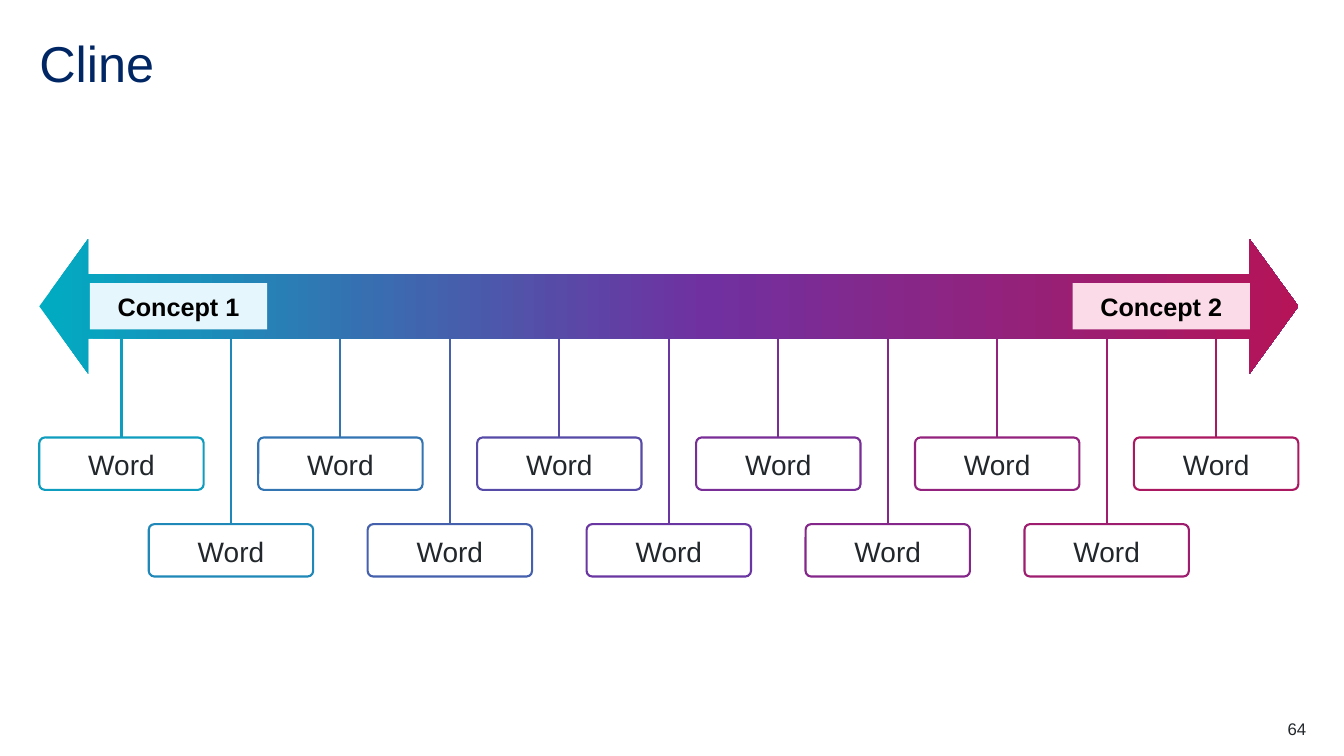
from copy import deepcopy

from pptx import Presentation
from pptx.dml.color import RGBColor
from pptx.enum.shapes import MSO_CONNECTOR as Connector
from pptx.enum.shapes import MSO_SHAPE as Shape
from pptx.enum.text import MSO_ANCHOR as Anchor
from pptx.enum.text import PP_ALIGN as Align
from pptx.oxml.ns import qn
from pptx.oxml.xmlchemy import OxmlElement
from pptx.util import Pt

SCALE = [(0, "00ACC2"), (0.53, "7030A0"), (1, "B51458")]
LEFT, WIDTH = 28.1, 899.3
WORDS = ["Word"] * 11
WORD_WIDTH, WORD_HEIGHT = 117.4, 37.4
ROW_TOPS = (312.5, 374.4)
ARROW_TOP, ARROW_HEIGHT = 170.6, 96.5
STEM_TOP = 241.8


def colour(text):
    return RGBColor.from_string(text)


def scale_colour(position):
    for (start, first), (end, last) in zip(SCALE, SCALE[1:]):
        if position <= end:
            share = (position - start) / (end - start)
            pairs = zip(colour(first), colour(last))
            return "".join(f"{round(a + (b - a) * share):02X}" for a, b in pairs)


class Page:
    font = "Arial"
    ink = "22272B"
    line_width = 1.5

    def __init__(self, deck):
        self.slide = deck.slides.add_slide(deck.slide_layouts[5])
        self.shapes = self.slide.shapes

    def label(self, box, text, size, ink, align, anchor, insets=(0, 0, 0, 0), bold=False):
        frame = box.text_frame
        frame.text = text
        frame.word_wrap = True
        frame.vertical_anchor = anchor
        (frame.margin_left, frame.margin_top,
         frame.margin_right, frame.margin_bottom) = map(Pt, insets)
        para = frame.paragraphs[0]
        para.alignment = align
        font = para.runs[0].font
        font.name, font.size, font.bold = self.font, Pt(size), bold
        font.color.rgb = colour(ink)
        return para

    def title(self, text, *place):
        box = self.shapes.title
        box.left, box.top, box.width, box.height = map(Pt, place)
        para = self.label(box, text, 36, "002664", Align.LEFT, Anchor.TOP)
        para.line_spacing = 0.9

    def shape(self, kind, *place):
        shape = self.shapes.add_shape(kind, *map(Pt, place))
        shape.shadow.inherit = False
        return shape

    def gradient_arrow(self, *place):
        arrow = self.shape(Shape.LEFT_RIGHT_ARROW, *place)
        arrow.adjustments[0], arrow.adjustments[1] = 0.475, 0.362
        arrow.line.fill.background()
        arrow.fill.gradient()
        arrow.fill.gradient_angle = 0
        first = arrow.element.spPr.find(".//" + qn("a:gs"))
        first.addnext(deepcopy(first))
        for stop, (position, shade) in zip(arrow.fill.gradient_stops, SCALE):
            stop.position = position
            stop.color.rgb = colour(shade)

    def concept(self, text, fill, *place):
        box = self.shape(Shape.RECTANGLE, *place)
        box.fill.solid()
        box.fill.fore_color.rgb = colour(fill)
        box.line.fill.background()
        self.label(box, text, 18, "000000", Align.CENTER, Anchor.MIDDLE,
                   (6.5, 3, 6.5, 3), True)

    def word(self, text, shade, *place):
        box = self.shape(Shape.ROUNDED_RECTANGLE, *place)
        box.adjustments[0] = 0.106
        box.fill.background()
        self.outline(box, shade)
        self.label(box, text, 20, self.ink, Align.CENTER, Anchor.BOTTOM, (11.5, 0, 11.5, 5))
        return box

    def outline(self, item, shade):
        item.line.color.rgb = colour(shade)
        item.line.width = Pt(self.line_width)

    def stem(self, box, shade, top):
        middle = box.left + box.width // 2
        line = self.shapes.add_connector(Connector.STRAIGHT, middle, Pt(top), middle, box.top)
        line.end_connect(box, 0)
        self.outline(line, shade)
        line.element.spPr.append(OxmlElement("a:effectLst"))

    def number(self, text, *place):
        box = self.shapes.add_textbox(*map(Pt, place))
        self.label(box, text, 12, self.ink, Align.RIGHT, Anchor.TOP)


def main():
    deck = Presentation()
    deck.slide_width, deck.slide_height = Pt(960), Pt(540)
    page = Page(deck)
    page.title("Cline", LEFT, 28.1, 904.3, 43.2)
    page.gradient_arrow(LEFT, ARROW_TOP, WIDTH, ARROW_HEIGHT)
    page.concept("Concept 1", "E5F7FC", 64.2, 202.3, 126.7, 33)
    page.concept("Concept 2", "FBDBE7", 766.2, 202.3, 126.7, 33)

    step = (WIDTH - WORD_WIDTH) / (len(WORDS) - 1)
    for index, text in enumerate(WORDS):
        offset = index * step
        shade = scale_colour((offset + WORD_WIDTH / 2) / WIDTH)
        box = page.word(text, shade, LEFT + offset, ROW_TOPS[index % 2],
                        WORD_WIDTH, WORD_HEIGHT)
        page.stem(box, shade, STEM_TOP)

    page.number("64", 876.2, 513.4, 56.9, 14.4)
    deck.save("out.pptx")


if __name__ == "__main__":
    main()
